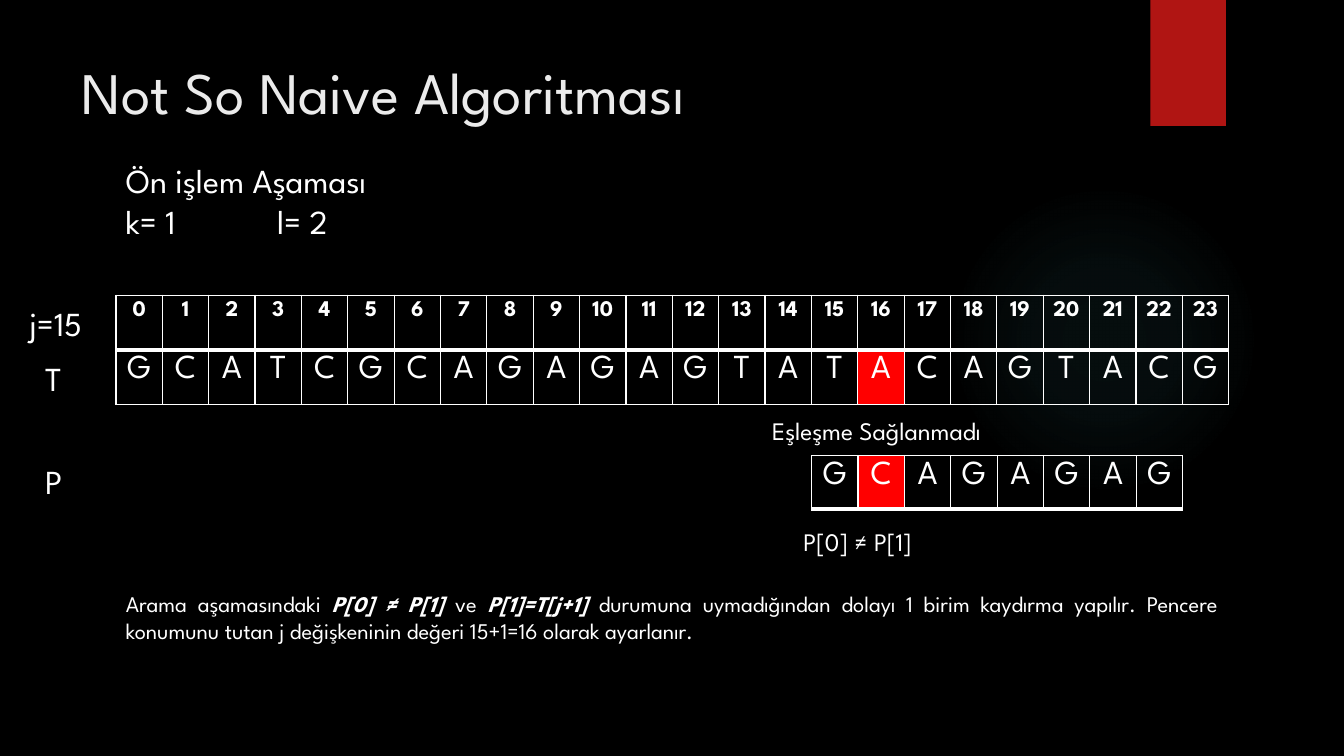
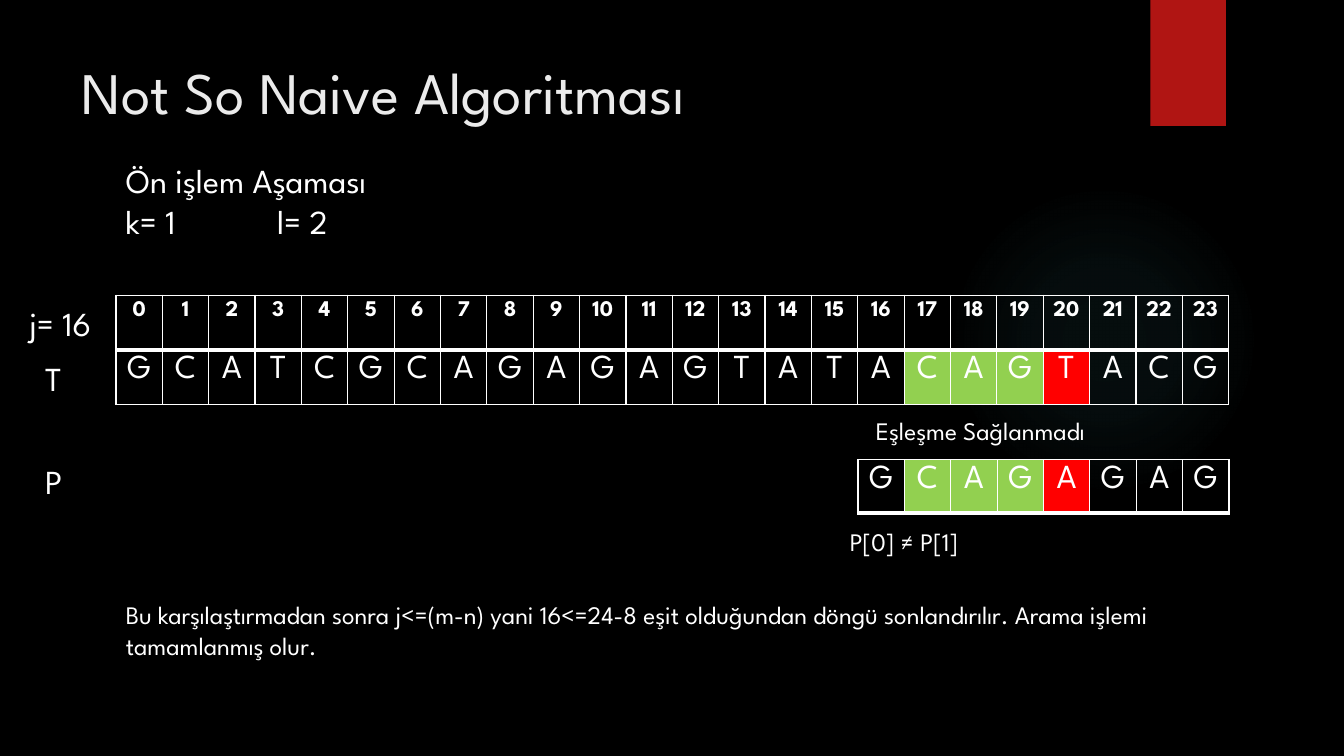
from dataclasses import dataclass

from pptx import Presentation
from pptx.dml.color import RGBColor
from pptx.enum.shapes import MSO_SHAPE
from pptx.enum.text import MSO_ANCHOR, MSO_AUTO_SIZE, PP_ALIGN
from pptx.oxml import parse_xml
from pptx.oxml.ns import nsdecls
from pptx.slide import Slide
from pptx.table import _Cell
from pptx.text.text import TextFrame
from pptx.util import Inches, Pt

LEFT, CENTER, JUSTIFY = PP_ALIGN.LEFT, PP_ALIGN.CENTER, PP_ALIGN.JUSTIFY
TOP = MSO_ANCHOR.TOP
FIT_SHAPE = MSO_AUTO_SIZE.SHAPE_TO_FIT_TEXT
RECTANGLE, OVAL = MSO_SHAPE.RECTANGLE, MSO_SHAPE.OVAL
TITLE_ONLY = 5

Box = tuple[float, float, float, float]


@dataclass(frozen=True)
class Theme:
    font: str = "League Spartan"
    background: str = "000000"
    title: str = "EBEBEB"
    text: str = "FFFFFF"
    ribbon: str = "B01513"
    glow: str = "50B9C1"
    match: str = "92D050"
    mismatch: str = "FF0000"
    title_size: int = 42
    large: int = 24
    medium: int = 18
    small: int = 16


@dataclass(frozen=True)
class Step:
    """One window position of the search; emphasis in the note sits between bars."""
    j: int
    j_label: str
    mismatch: int
    pattern_top: float
    verdict_left: float
    note: str
    note_box: Box
    note_size: int
    note_align: PP_ALIGN


@dataclass(frozen=True)
class Row:
    letters: list[str]
    height: float
    size: int
    bold: bool = False
    bottom_line: int = 1


THEME = Theme()
SEQUENCE = "GCATCGCAGAGAGTATACAGTACG"
PATTERN = "GCAGAGAG"
GRID_LEFT, GRID_TOP, CELL = 1.15, 2.93, 0.46

STEPS = [
    Step(15, "j=15", 1, 4.52, 7.56,
         "Arama aşamasındaki |P[0] ≠ P[1] |ve |P[1]=T[j+1] |durumuna uymadığından "
         "dolayı 1 birim kaydırma yapılır. Pencere konumunu tutan j değişkeninin "
         "değeri 15+1=16 olarak ayarlanır.",
         (GRID_LEFT, 5.81, 11.03, 0.64), THEME.small, JUSTIFY),
    Step(16, "j= 16", 4, 4.56, 8.59,
         "Bu karşılaştırmadan sonra j<=(m-n) yani 16<=24-8 eşit olduğundan döngü "
         "sonlandırılır. Arama işlemi tamamlanmış olur.",
         (GRID_LEFT, 5.9, 11.05, 0.71), THEME.medium, LEFT),
]


def rgb(color: str) -> RGBColor:
    return RGBColor.from_string(color)


def write(frame: TextFrame, text: str, *, size: int, color: str = THEME.text,
          bold: bool = False, align: PP_ALIGN = LEFT) -> None:
    """Fill a frame, one paragraph a line; text between bars is bold italic."""
    for number, line in enumerate(text.split("\n")):
        paragraph = frame.paragraphs[0] if number == 0 else frame.add_paragraph()
        paragraph.alignment = align
        for part, words in enumerate(line.split("|")):
            emphasised = part % 2 == 1
            run = paragraph.add_run()
            run.text = words
            run.font.name = THEME.font
            run.font.size = Pt(size)
            run.font.bold = bold or emphasised
            run.font.italic = emphasised
            run.font.color.rgb = rgb(color)


def add_label(slide: Slide, box: Box, text: str, *, size: int,
              align: PP_ALIGN = LEFT, wrap: bool = False) -> None:
    frame = slide.shapes.add_textbox(*map(Inches, box)).text_frame
    frame.word_wrap = wrap
    frame.auto_size = FIT_SHAPE
    write(frame, text, size=size, align=align)


def set_borders(cell: _Cell, bottom: int) -> None:
    properties = cell._tc.get_or_add_tcPr()
    for side, points in (("L", 1), ("R", 1), ("T", 1), ("B", bottom)):
        properties.append(parse_xml(
            f'<a:ln{side} {nsdecls("a")} w="{Pt(points)}"><a:solidFill>'
            f'<a:srgbClr val="{THEME.text}"/></a:solidFill></a:ln{side}>'))


def add_letters(slide: Slide, left: float, top: float, rows: list[Row],
                marks: dict[int, str]) -> None:
    """Draw a table of letters; marks colour cells of its last row by column."""
    columns = len(rows[0].letters)
    table = slide.shapes.add_table(
        len(rows), columns, Inches(left), Inches(top), Inches(columns * CELL),
        Inches(sum(row.height for row in rows))).table
    table.first_row = table.horz_banding = False
    for column in table.columns:
        column.width = Inches(CELL)
    for r, row in enumerate(rows):
        table.rows[r].height = Inches(row.height)
        for c, letter in enumerate(row.letters):
            cell = table.cell(r, c)
            set_borders(cell, row.bottom_line)
            if r == len(rows) - 1 and c in marks:
                cell.fill.solid()
                cell.fill.fore_color.rgb = rgb(marks[c])
            else:
                cell.fill.background()
            write(cell.text_frame, letter, size=row.size, bold=row.bold, align=CENTER)


def add_backdrop(slide: Slide) -> None:
    """Draw the soft glow and the ribbon behind everything else."""
    glow = slide.shapes.add_shape(OVAL, *map(Inches, (9.41, 1.83, 3.08, 3.08)))
    ribbon = slide.shapes.add_shape(RECTANGLE, *map(Inches, (11.41, 0, 0.75, 1.25)))
    for shape in (glow, ribbon):
        shape.shadow.inherit = False
        shape.line.fill.background()
    ribbon.fill.solid()
    ribbon.fill.fore_color.rgb = rgb(THEME.ribbon)
    stops = "".join(
        f'<a:gs pos="{place * 1000}"><a:srgbClr val="{THEME.glow}">'
        f'<a:alpha val="{alpha * 1000}"/></a:srgbClr></a:gs>'
        for place, alpha in ((0, 7), (36, 6), (69, 0)))
    glow.element.spPr.find("{*}prstGeom").addnext(parse_xml(
        f'<a:gradFill {nsdecls("a")}><a:gsLst>{stops}</a:gsLst><a:path path="circle">'
        '<a:fillToRect l="50000" t="50000" r="50000" b="50000"/></a:path></a:gradFill>'))


def set_title(slide: Slide, text: str) -> None:
    title = slide.shapes.title
    title.left, title.top, title.width, title.height = map(
        Inches, (0.71, 0.5, 10.29, 1.53))
    title.text_frame.vertical_anchor = TOP
    title.text_frame.word_wrap = True
    write(title.text_frame, text, size=THEME.title_size, color=THEME.title)


def add_step(slide: Slide, step: Step) -> None:
    add_backdrop(slide)
    set_title(slide, "Not So Naive Algoritması")
    add_label(slide, (GRID_LEFT, 1.54, 3.13, 0.91),
              "Ön işlem Aşaması\nk= 1\t\t\tl= 2", size=THEME.large)

    marks = {i: THEME.match for i in range(1, step.mismatch)}
    marks[step.mismatch] = THEME.mismatch
    indices = [str(i) for i in range(len(SEQUENCE))]
    add_letters(slide, GRID_LEFT, GRID_TOP,
                [Row(indices, 0.54, THEME.small, bold=True, bottom_line=3),
                 Row(list(SEQUENCE), 0.54, THEME.large)],
                {step.j + i: color for i, color in marks.items()})
    window_left = GRID_LEFT + step.j * CELL
    add_letters(slide, window_left, step.pattern_top,
                [Row(list(PATTERN), 0.53, THEME.large, bottom_line=3)], marks)

    for box, label in (((0.19, 2.96, 0.94, 0.5), step.j_label),
                       ((0.35, 3.5, 0.35, 0.5), "T"),
                       ((0.35, 4.52, 0.4, 0.5), "P")):
        add_label(slide, box, label, size=THEME.large)
    add_label(slide, (step.verdict_left, 4.07, 2.7, 0.4), "Eşleşme Sağlanmadı",
              size=THEME.medium)
    add_label(slide, (window_left - 0.18, 5.17, 1.42, 0.4), "P[0] ≠ P[1]",
              size=THEME.medium)
    add_label(slide, step.note_box, step.note, size=step.note_size,
              align=step.note_align, wrap=True)


def main() -> None:
    deck = Presentation()
    deck.slide_width, deck.slide_height = Inches(13.33), Inches(7.5)
    backdrop = deck.slide_master.background.fill
    backdrop.solid()
    backdrop.fore_color.rgb = rgb(THEME.background)
    for step in STEPS:
        add_step(deck.slides.add_slide(deck.slide_layouts[TITLE_ONLY]), step)
    deck.save("out.pptx")


if __name__ == "__main__":
    main()
